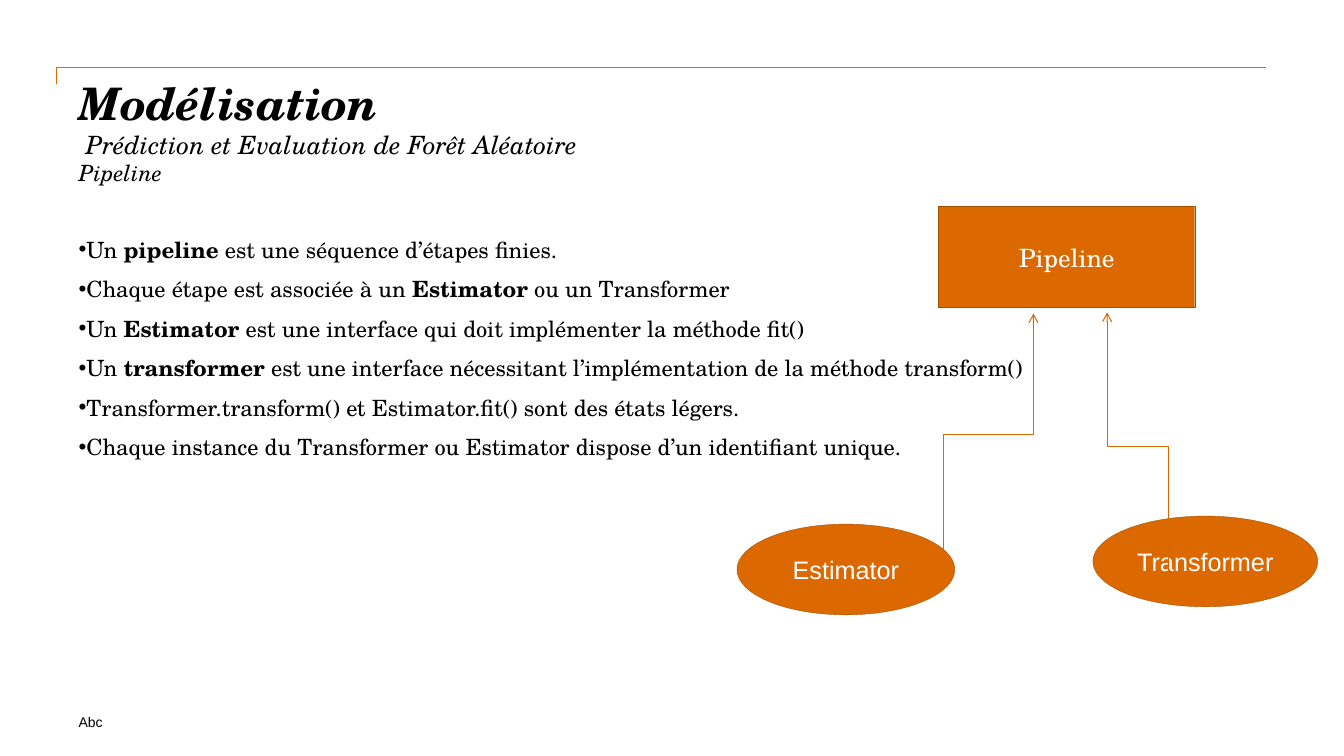
"""Build the pipeline modelling slide."""
from dataclasses import dataclass

from lxml import etree
from pptx import Presentation
from pptx.dml.color import RGBColor
from pptx.enum.shapes import MSO_CONNECTOR, MSO_SHAPE
from pptx.enum.text import MSO_ANCHOR, MSO_AUTO_SIZE, PP_ALIGN
from pptx.oxml.ns import qn
from pptx.util import Inches, Pt

ELBOW = MSO_CONNECTOR.ELBOW
RECTANGLE, OVAL = MSO_SHAPE.RECTANGLE, MSO_SHAPE.OVAL
TOP, MIDDLE = MSO_ANCHOR.TOP, MSO_ANCHOR.MIDDLE
LEFT, CENTER = PP_ALIGN.LEFT, PP_ALIGN.CENTER
NO_FIT = MSO_AUTO_SIZE.NONE


@dataclass(frozen=True)
class Theme:
    serif: str = "TeX Gyre Schola"
    sans: str = "Arial"
    ink: str = "000000"
    paper: str = "FFFFFF"
    accent: str = "DC6900"
    outline: str = "A34E00"
    arrow: str = "D76700"
    title: int = 32
    subtitle: int = 18
    body: int = 16
    label: int = 18
    footer: int = 10


class SlideBuilder:
    def __init__(self, page, theme):
        self.page = page
        self.theme = theme

    def style(self, span, size, face, color, bold=False, italic=False):
        font = span.font
        font.name, font.size = face, Pt(size)
        font.bold, font.italic = bold, italic
        font.color.rgb = RGBColor.from_string(color)

    def stroke(self, line, color, width):
        line.color.rgb = RGBColor.from_string(color)
        line.width = Pt(width)

    def frame(self, box, left, top, width, height):
        box.left, box.top = Inches(left), Inches(top)
        box.width, box.height = Inches(width), Inches(height)
        frame = box.text_frame
        frame.margin_left = frame.margin_right = 0
        frame.margin_top = frame.margin_bottom = 0
        frame.word_wrap = True
        frame.auto_size = NO_FIT
        frame.vertical_anchor = TOP
        return frame

    def title(self, lines, *place):
        frame = self.frame(self.page.shapes.title, *place)
        frame.text = "\n".join(text for text, _, _ in lines)
        for para, (_, size, bold) in zip(frame.paragraphs, lines):
            para.alignment = LEFT
            self.style(para.runs[0], size, self.theme.serif, self.theme.ink, bold, True)

    def bullets(self, items, *place):
        frame = self.frame(self.page.placeholders[1], *place)
        frame.text = "\n".join(items)
        for para, item in zip(frame.paragraphs, items):
            para.text = ""
            para.space_before, para.space_after = Pt(0), Pt(9)
            for index, text in enumerate(item.split("*")):
                span = para.add_run()
                span.text = text
                self.style(span, self.theme.body, self.theme.serif, self.theme.ink, index % 2 == 1)
            props = para._p.get_or_add_pPr()
            props.set("marL", "0")
            props.set("indent", str(-Inches(0.3)))
            etree.SubElement(props, qn("a:buChar")).set("char", "•")

    def footer(self, text, *place):
        box = self.page.shapes.add_textbox(0, 0, 0, 0)
        frame = self.frame(box, *place)
        frame.text = text
        self.style(frame.paragraphs[0].runs[0], self.theme.footer, self.theme.sans, self.theme.ink)

    def corner_rule(self, *points):
        start, *rest = [(Inches(x), Inches(y)) for x, y in points]
        outline = self.page.shapes.build_freeform(*start)
        outline.add_line_segments(rest, close=False)
        rule = outline.convert_to_shape()
        rule.shadow.inherit = False
        rule.fill.background()
        self.stroke(rule.line, self.theme.accent, 1)

    def node(self, kind, text, face, *place):
        box = self.page.shapes.add_shape(kind, *map(Inches, place))
        box.shadow.inherit = False
        box.fill.solid()
        box.fill.fore_color.rgb = RGBColor.from_string(self.theme.accent)
        self.stroke(box.line, self.theme.outline, 0.25)
        frame = box.text_frame
        frame.text = text
        frame.vertical_anchor = MIDDLE
        para = frame.paragraphs[0]
        para.alignment = CENTER
        self.style(para.runs[0], self.theme.label, face, self.theme.paper)

    def upward_arrow(self, x1, y1, x2, y2):
        middle_x, middle_y = (x1 + x2) / 2, (y1 + y2) / 2
        half_rise, half_shift = (y1 - y2) / 2, (x2 - x1) / 2
        arrow = self.page.shapes.add_connector(
            ELBOW,
            Inches(middle_x - half_rise), Inches(middle_y - half_shift),
            Inches(middle_x + half_rise), Inches(middle_y + half_shift))
        self.stroke(arrow.line, self.theme.arrow, 0.75)
        props = arrow._element.spPr
        props.find(qn("a:xfrm")).set("rot", str(270 * 60000))
        etree.SubElement(props.find(qn("a:ln")), qn("a:tailEnd")).set("type", "arrow")
        etree.SubElement(props, qn("a:effectLst"))


def main():
    theme = Theme()
    deck = Presentation()
    deck.slide_width, deck.slide_height = Inches(13.33), Inches(7.5)
    slide = SlideBuilder(deck.slides.add_slide(deck.slide_layouts[1]), theme)

    slide.footer("Abc", 0.78, 7.08, 3.78, 0.17)
    slide.corner_rule((0.56, 0.83), (0.56, 0.67), (12.56, 0.67))
    slide.title([
        ("Modélisation", theme.title, True),
        (" Prédiction et Evaluation de Forêt Aléatoire", theme.subtitle, False),
        ("Pipeline", theme.body, False),
    ], 0.78, 0.75, 8.53, 1)
    slide.bullets([
        "Un *pipeline* est une séquence d’étapes finies.",
        "Chaque étape est associée à un *Estimator* ou un Transformer",
        "Un *Estimator* est une interface qui doit implémenter la méthode fit()",
        "Un *transformer* est une interface nécessitant l’implémentation de la méthode transform()",
        "Transformer.transform() et Estimator.fit() sont des états légers.",
        "Chaque instance du Transformer ou Estimator dispose d’un identifiant unique.",
    ], 0.78, 2.34, 9.58, 2.59)

    slide.node(RECTANGLE, "Pipeline", theme.serif, 9.31, 2.05, 2.54, 1)
    slide.node(OVAL, "Estimator", theme.sans, 7.31, 5.2, 2.16, 0.9)
    slide.node(OVAL, "Transformer", theme.sans, 10.84, 5.12, 2.23, 0.9)
    slide.upward_arrow(9.36, 5.51, 10.25, 3.11)
    slide.upward_arrow(11.59, 5.77, 10.98, 3.1)
    deck.save("out.pptx")


if __name__ == "__main__":
    main()
